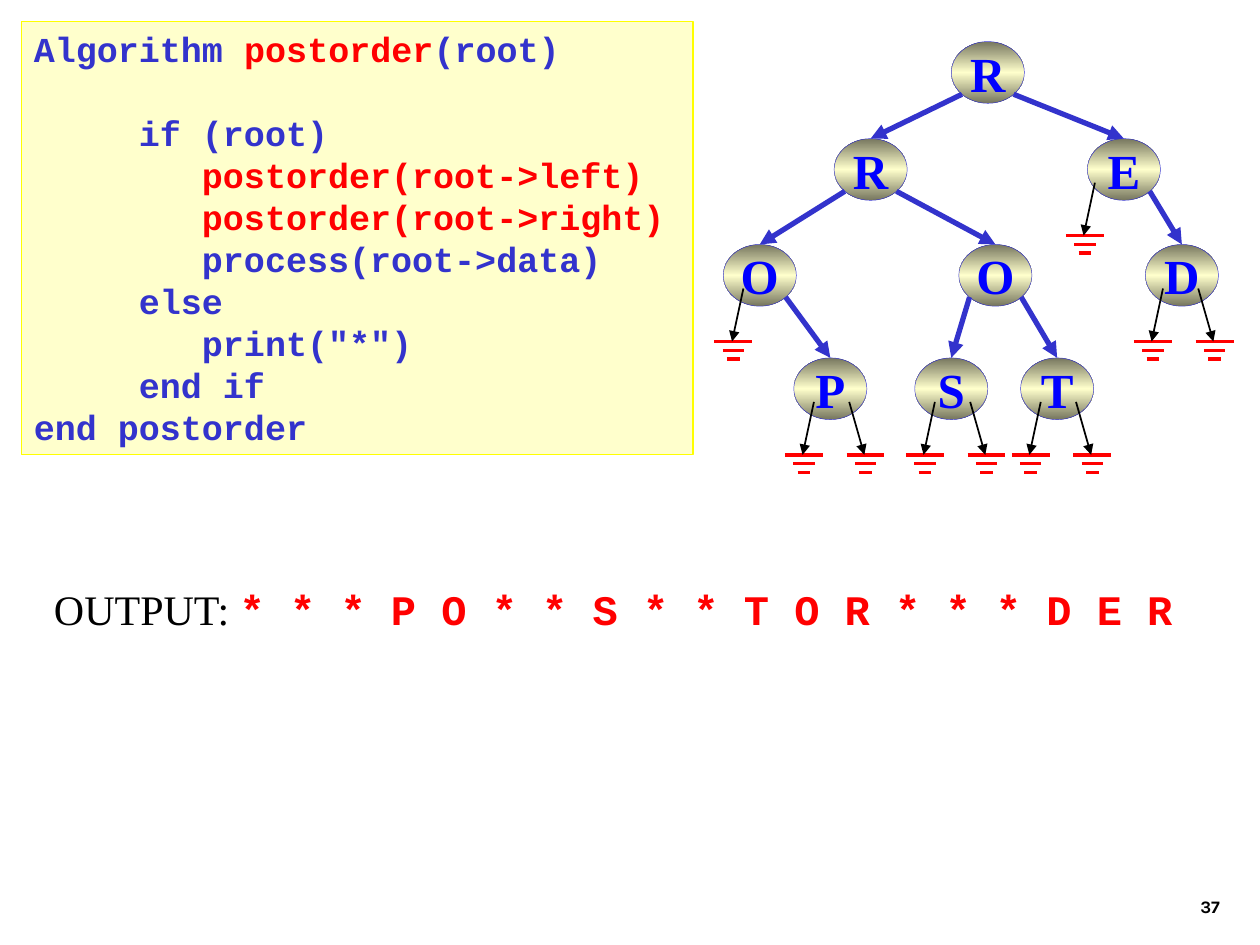
from copy import deepcopy
from lxml.etree import SubElement
from pptx import Presentation
from pptx.dml.color import RGBColor as Color
from pptx.enum.shapes import MSO_CONNECTOR as Link, MSO_SHAPE as Shape
from pptx.enum.text import MSO_ANCHOR as Anchor, MSO_AUTO_SIZE as Fit, PP_ALIGN as Align
from pptx.oxml.ns import qn
from pptx.util import Inches, Pt

COLORS = {"blue": "3333CC", "letter": "0000FF", "red": "FF0000", "black": "000000",
          "cream": "FFFFCC", "olive": "76765E", "yellow": "FFFF00"}
FONTS = {
    "code": {"name": "Courier New", "size": Pt(20), "bold": True},
    "letter": {"name": "Times New Roman", "size": Pt(28), "bold": True},
    "label": {"name": "Times New Roman", "size": Pt(24), "bold": False},
    "output": {"name": "Courier New", "size": Pt(24), "bold": True},
    "number": {"name": "Karla", "size": Pt(10), "bold": True},
}
NODE_WIDTH, NODE_HEIGHT = 0.58, 0.49
DIAGONAL = 0.5 ** 0.5
LEVEL_TOPS = [0.33, 1.1, 1.94, 2.84]
NODES = {
    "D": ("D", 9.09, 2), "left O": ("O", 5.74, 2), "P": ("P", 6.3, 3),
    "S": ("S", 7.26, 3), "T": ("T", 8.1, 3), "root": ("R", 7.55, 0),
    "left R": ("R", 6.62, 1), "right O": ("O", 7.61, 2), "E": ("E", 8.63, 1),
}
EDGES = [
    ("root", "left R", -1), ("root", "E", 1), ("left R", "left O", -1),
    ("left R", "right O", 1), ("E", "D", 1), ("right O", "S", -1),
    ("right O", "T", 1), ("left O", "P", 1),
]
EMPTY_LINKS = {"left O": ["left"], "P": ["left", "right"], "E": ["left"],
               "D": ["left", "right"], "S": ["left", "right"], "T": ["left", "right"]}
NUDGES = {"E": -0.1, "D": -0.02}
LINK_OFFSETS = {"left": (-0.13, -0.22, -0.21), "right": (0.15, 0.27, 0.28)}
GROUND_BARS = [(0.3, 0.77), (0.17, 0.84), (0.1, 0.91)]
CODE = [
    [("Algorithm ", "blue"), ("postorder", "red"), ("(root)", "blue")],
    [("     if (root)", "blue")],
    [("        postorder(root->left)", "red")],
    [("        postorder(root->right)", "red")],
    [("        process(root->data)", "blue")],
    [("     else", "blue")],
    [('        print("*")', "blue")],
    [("     end if", "blue")],
    [("end postorder", "blue")],
]
CODE_PITCH = Pt(24)


class TreePage:
    def __init__(self, deck):
        self.page = deck.slides.add_slide(deck.slide_layouts[6])

    def assign(self, target, values):
        for name, value in values.items():
            setattr(target, name, value)

    def color(self, name):
        return Color.from_string(COLORS[name])

    def span(self, para, text, style, color):
        span = para.add_run()
        span.text = text
        self.assign(span.font, FONTS[style])
        span.font.color.rgb = self.color(color)

    def text(self, left, top, width, height, spans, align=Align.LEFT, **frame):
        box = self.page.shapes.add_textbox(*map(Inches, (left, top, width, height)))
        self.assign(box.text_frame, frame)
        para = box.text_frame.paragraphs[0]
        para.alignment = align
        for span in spans:
            self.span(para, *span)

    def shape(self, kind, left, top, width, height, line, weight):
        shape = self.page.shapes.add_shape(kind, *map(Inches, (left, top, width, height)))
        shape.shadow.inherit = False
        shape.line.color.rgb = self.color(line)
        shape.line.width = Pt(weight)
        return shape

    def node(self, letter, left, top):
        node = self.shape(Shape.OVAL, left, top, NODE_WIDTH, NODE_HEIGHT, "blue", 0.25)
        node.fill.gradient()
        node.fill.gradient_angle = 90
        stops = node.element.spPr.find(".//" + qn("a:gsLst"))
        stops.append(deepcopy(stops[0]))
        for stop, place, name in zip(node.fill.gradient_stops, (0, 0.5, 1),
                                     ("olive", "cream", "olive")):
            stop.position = place
            stop.color.rgb = self.color(name)
        self.assign(node.text_frame, {"word_wrap": False, "vertical_anchor": Anchor.MIDDLE})
        para = node.text_frame.paragraphs[0]
        para.alignment = Align.CENTER
        self.span(para, letter, "letter", "letter")
        return node

    def line(self, start, end, color, weight, arrow=False):
        line = self.page.shapes.add_connector(Link.STRAIGHT, *map(Inches, (*start, *end)))
        line.line.color.rgb = self.color(color)
        line.line.width = Pt(weight)
        properties = line.element.spPr
        if arrow:
            SubElement(properties.find(qn("a:ln")), qn("a:tailEnd"), type="triangle")
        SubElement(properties, qn("a:effectLst"))
        return line

    def empty_link(self, center, top, side):
        start, tip, ground = (center + offset for offset in LINK_OFFSETS[side])
        for width, drop in GROUND_BARS:
            self.line((ground - width / 2, top + drop), (ground + width / 2, top + drop), "red", 2)
        self.line((start, top + 0.35), (tip, top + 0.77), "black", 1, arrow=True)

    def code(self, left, top, width, height, lines):
        panel = self.shape(Shape.RECTANGLE, left, top, width, height, "yellow", 0.75)
        panel.fill.solid()
        panel.fill.fore_color.rgb = self.color("cream")
        frame = panel.text_frame
        self.assign(frame, {"word_wrap": True, "vertical_anchor": Anchor.TOP})
        for index, spans in enumerate(lines):
            para = frame.add_paragraph() if index else frame.paragraphs[0]
            self.assign(para, {"alignment": Align.LEFT, "line_spacing": CODE_PITCH})
            if index == 1:
                para.space_before = CODE_PITCH
            for text, color in spans:
                self.span(para, text, "code", color)


def main():
    deck = Presentation()
    deck.slide_width, deck.slide_height = Inches(10), Inches(7.5)
    tree = TreePage(deck)
    tree.text(7.7, 6.83, 2.08, 0.5, [("37", "number", "black")], Align.RIGHT,
              word_wrap=True, vertical_anchor=Anchor.BOTTOM)
    tree.text(0.33, 4.58, 9.29, 0.5,
              [("OUTPUT: ", "label", "black"),
               ("* * * P O * * S * * T O R * * * D E R", "output", "red")],
              word_wrap=False, auto_size=Fit.SHAPE_TO_FIT_TEXT)

    nodes, spots = {}, {}
    for key, (letter, left, level) in NODES.items():
        nodes[key] = tree.node(letter, left, LEVEL_TOPS[level])
        spots[key] = left + NODE_WIDTH / 2, LEVEL_TOPS[level]
    for parent, child, direction in EDGES:
        center, top = spots[parent]
        start = (center + direction * NODE_WIDTH / 2 * DIAGONAL,
                 top + NODE_HEIGHT / 2 * (1 + DIAGONAL))
        edge = tree.line(start, spots[child], "blue", 3, arrow=True)
        edge.end_connect(nodes[child], 0)
    for key, sides in EMPTY_LINKS.items():
        center, top = spots[key]
        for side in sides:
            tree.empty_link(center + NUDGES.get(key, 0), top, side)

    tree.code(0.17, 0.17, 5.33, 3.44, CODE)
    deck.save("out.pptx")


if __name__ == "__main__":
    main()
